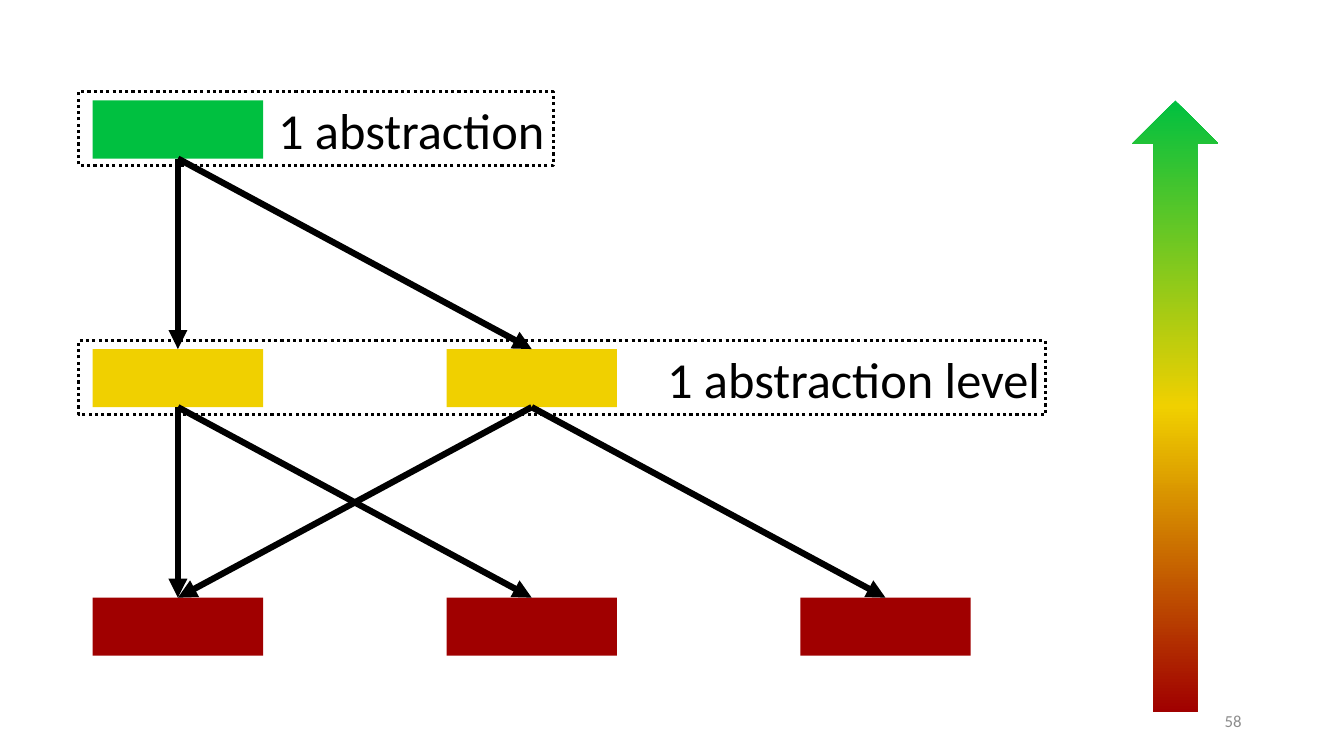
from copy import deepcopy
from dataclasses import dataclass

from lxml import etree
from pptx import Presentation
from pptx import util as u
from pptx.dml.color import RGBColor
from pptx.enum import dml, shapes, text
from pptx.oxml.ns import qn


@dataclass(frozen=True)
class Theme:
    font: str = "Calibri"
    green: str = "00C040"
    gold: str = "F0D000"
    red: str = "A00000"
    black: str = "000000"
    gray: str = "8C8C8C"
    label: float = 36
    small: float = 12
    arrow: float = 4.5
    frame: float = 2.25


THEME = Theme()
RECT = shapes.MSO_SHAPE.RECTANGLE


def color(code):
    return RGBColor.from_string(code)


def points(box):
    return [u.Pt(n) for n in box]


def add_form(parent, kind, box):
    form = parent.add_shape(kind, *points(box))
    form.shadow.inherit = False
    form.line.fill.background()
    return form


def add_text(parent, box, words, size, tint, align, anchor):
    frame = parent.add_textbox(*points(box)).text_frame
    frame.word_wrap = True
    frame.vertical_anchor = anchor
    para = frame.paragraphs[0]
    para.alignment = align
    run = para.add_run()
    run.text = words
    run.font.name = THEME.font
    run.font.size = u.Pt(size)
    run.font.color.rgb = color(tint)


def add_link(parent, start, end):
    link = parent.add_connector(shapes.MSO_CONNECTOR.STRAIGHT, 0, 0, 0, 0)
    link.begin_connect(start, 2)
    link.end_connect(end, 0)
    link.line.width = u.Pt(THEME.arrow)
    link.line.color.rgb = color(THEME.black)
    etree.SubElement(link.line._get_or_add_ln(), qn("a:tailEnd"), type="triangle")
    etree.SubElement(link._element.spPr, qn("a:effectLst"))


def add_tree(parent, box):
    left, top, width, height = box
    wide, high = 121.68, 41.5
    step_x = (width - wide) / 2
    step_y = (height - high) / 2
    nodes = {}
    for row, tint in enumerate((THEME.green, THEME.gold, THEME.red)):
        for col in range(row + 1):
            place = (left + col * step_x, top + row * step_y, wide, high)
            node = add_form(parent, RECT, place)
            node.fill.solid()
            node.fill.fore_color.rgb = color(tint)
            nodes[row, col] = node
    links = [((0, 0), (1, 0)), ((0, 0), (1, 1)),
             ((1, 0), (2, 0)), ((1, 0), (2, 1)),
             ((1, 1), (2, 0)), ((1, 1), (2, 2))]
    for start, end in links:
        add_link(parent, nodes[start], nodes[end])


def add_level(parent, box, words, indent):
    left, top, width, height = box
    group = parent.add_group_shape().shapes
    add_text(group, (left + indent, top + 1.5, 308.9, 50.9), words,
             THEME.label, THEME.black, text.PP_ALIGN.LEFT, text.MSO_ANCHOR.TOP)
    frame = add_form(group, RECT, box)
    frame.fill.background()
    frame.line.color.rgb = color(THEME.black)
    frame.line.width = u.Pt(THEME.frame)
    frame.line.dash_style = dml.MSO_LINE.ROUND_DOT


def add_scale(parent, box):
    arrow = add_form(parent, shapes.MSO_SHAPE.UP_ARROW, box)
    arrow.fill.gradient()
    arrow.fill.gradient_angle = 270
    stop_list = arrow._element.spPr.find(qn("a:gradFill")).find(qn("a:gsLst"))
    stop_list.append(deepcopy(stop_list[-1]))
    tints = (THEME.green, THEME.gold, THEME.red)
    for rank, (stop, tint) in enumerate(zip(arrow.fill.gradient_stops, tints)):
        stop.position = rank / 2
        stop.color.rgb = color(tint)


def add_number(parent, box):
    add_text(parent, box, "58", THEME.small, THEME.gray,
             text.PP_ALIGN.RIGHT, text.MSO_ANCHOR.MIDDLE)


def main():
    deck = Presentation()
    deck.slide_width, deck.slide_height = u.Pt(960), u.Pt(540)
    parts = deck.slides.add_slide(deck.slide_layouts[6]).shapes
    add_number(parts, (678, 500.5, 216, 28.8))
    add_tree(parts, (66.24, 71.8, 627.12, 396.6))
    add_level(parts, (56.2, 243.4, 690.5, 52.6), "1 abstraction level", 413.2)
    add_scale(parts, (808.6, 71.8, 61.9, 436.6))
    add_level(parts, (56.2, 65.5, 339.1, 52.6), "1 abstraction", 135.3)
    deck.save("out.pptx")


if __name__ == "__main__":
    main()
